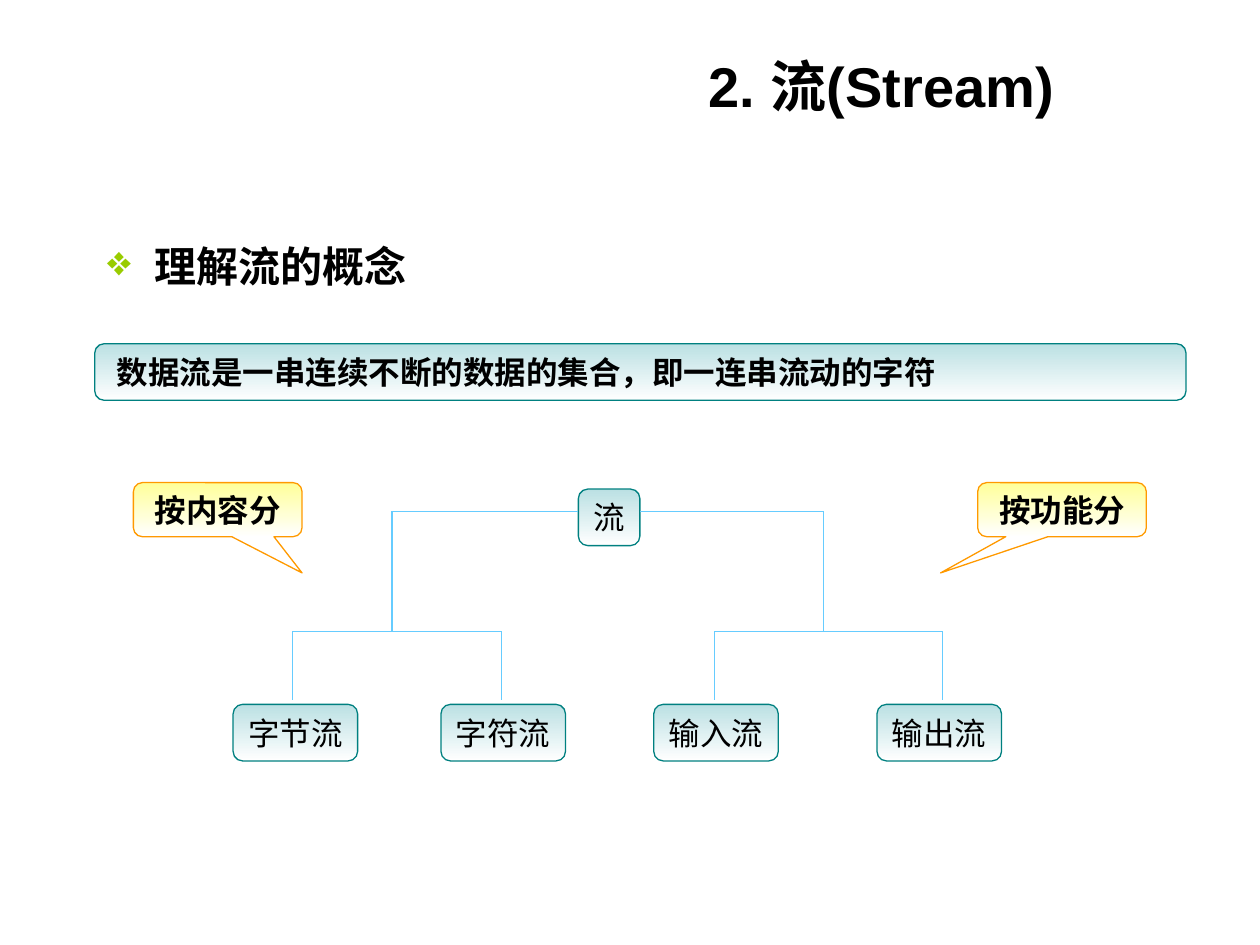
from dataclasses import dataclass

from lxml import etree
from pptx import Presentation
from pptx import util as u
from pptx.dml.color import RGBColor
from pptx.enum import shapes, text
from pptx.oxml import ns


@dataclass(frozen=True)
class Theme:
    font: str = "Arial"
    ink: str = "000000"
    paper: str = "FFFFFF"
    bullet: str = "99CC00"
    node: tuple = ("BBE0E3", "008080")
    callout: tuple = ("FFFF99", "FF9900")
    branch: str = "66CCFF"
    title_size: int = 32
    heading_size: int = 24
    body_size: int = 18
    line_width: float = 0.75


THEME = Theme()
ALIGN = text.PP_ALIGN
BOX_HEIGHT = 1.14
LEAF_WIDTH = 2.51
LEAF_TOP = 14.2
ROOT_LEFT, ROOT_WIDTH = 11.66, 1.24
TRUNK_Y, BAR_Y, LEG_END_Y = 10.31, 12.73, 14.12


def color(value):
    return RGBColor.from_string(value)


def write(frame, words, size, bold=False, align=ALIGN.LEFT):
    paragraph = frame.paragraphs[0]
    paragraph.alignment = align
    run = paragraph.add_run()
    run.text = words
    run.font.name = THEME.font
    run.font.size = u.Pt(size)
    run.font.bold = bold
    run.font.color.rgb = color(THEME.ink)
    return paragraph


def add_title(slide, words):
    title = slide.shapes.title
    title.left, title.top = u.Cm(6.5), u.Cm(0.91)
    title.width, title.height = u.Cm(15.01), u.Cm(1.6)
    title.text_frame.vertical_anchor = text.MSO_ANCHOR.MIDDLE
    write(title.text_frame, words, THEME.title_size, True, ALIGN.RIGHT)


def add_heading(slide, words):
    heading = slide.shapes.add_textbox(u.Cm(1.91), u.Cm(4.72), u.Cm(11.4), u.Cm(1.3))
    heading.text_frame.word_wrap = True
    paragraph = write(heading.text_frame, words, THEME.heading_size, True)
    paragraph.space_before = u.Pt(6)
    properties = paragraph._p.get_or_add_pPr()
    indent = u.Cm(0.95)
    properties.set("marL", str(indent))
    properties.set("indent", str(-indent))
    bullet_color = etree.SubElement(properties, ns.qn("a:buClr"))
    etree.SubElement(bullet_color, ns.qn("a:srgbClr"), val=THEME.bullet)
    etree.SubElement(properties, ns.qn("a:buChar"), char="❖")


def add_box(slide, kind, place, colors, words, bold=False, align=ALIGN.CENTER, wrap=True):
    box = slide.shapes.add_shape(kind, *map(u.Cm, place))
    box.shadow.inherit = False
    top_color, line_color = colors
    box.fill.gradient()
    box.fill.gradient_angle = 270
    for stop, shade, position in zip(box.fill.gradient_stops, (top_color, THEME.paper), (0, 1)):
        stop.color.rgb = color(shade)
        stop.position = position
    box.line.color.rgb = color(line_color)
    box.line.width = u.Pt(THEME.line_width)
    box.text_frame.word_wrap = wrap
    write(box.text_frame, words, THEME.body_size, bold, align)
    return box


def add_node(slide, left, top, width, words, **style):
    place = (left, top, width, BOX_HEIGHT)
    kind = shapes.MSO_SHAPE.FLOWCHART_ALTERNATE_PROCESS
    add_box(slide, kind, place, THEME.node, words, **style)


def add_callout(slide, left, words, pointer_x):
    kind = shapes.MSO_SHAPE.ROUNDED_RECTANGULAR_CALLOUT
    callout = add_box(slide, kind, (left, 9.73, 3.4, 1.09), THEME.callout, words, bold=True)
    callout.text_frame.vertical_anchor = text.MSO_ANCHOR.TOP
    callout.adjustments[0] = pointer_x
    callout.adjustments[1] = 1.17


def add_line(slide, *ends):
    line = slide.shapes.add_connector(shapes.MSO_CONNECTOR.STRAIGHT, *map(u.Cm, ends))
    line.line.color.rgb = color(THEME.branch)
    line.line.width = u.Pt(THEME.line_width)
    etree.SubElement(line._element.spPr, ns.qn("a:effectLst"))


def add_branch(slide, root_x, trunk_x, leaves):
    for left, _, words in leaves:
        add_node(slide, left, LEAF_TOP, LEAF_WIDTH, words, wrap=False)
    legs = [leg_x for _, leg_x, _ in leaves]
    add_line(slide, legs[0], BAR_Y, legs[-1], BAR_Y)
    for leg_x in legs:
        add_line(slide, leg_x, BAR_Y, leg_x, LEG_END_Y)
    add_line(slide, trunk_x, TRUNK_Y, trunk_x, BAR_Y)
    add_line(slide, *sorted((root_x, trunk_x))[:1], TRUNK_Y, max(root_x, trunk_x), TRUNK_Y)


def main():
    deck = Presentation()
    deck.slide_width, deck.slide_height = u.Cm(25.4), u.Cm(19.05)
    slide = deck.slides.add_slide(deck.slide_layouts.get_by_name("Title Only"))

    add_title(slide, "2. 流(Stream)")
    add_heading(slide, "理解流的概念")
    add_node(slide, 1.91, 6.93, 22, " 数据流是一串连续不断的数据的集合，即一连串流动的字符",
             bold=True, align=ALIGN.LEFT)

    add_node(slide, ROOT_LEFT, 9.86, ROOT_WIDTH, "流", wrap=False)
    add_branch(slide, ROOT_LEFT, 7.9, [(4.7, 5.89, "字节流"), (8.89, 10.11, "字符流")])
    add_branch(slide, ROOT_LEFT + ROOT_WIDTH, 16.6,
               [(13.18, 14.4, "输入流"), (17.68, 19, "输出流")])

    add_callout(slide, 2.69, "按内容分", 0.5)
    add_callout(slide, 19.71, "按功能分", -0.72)
    deck.save("out.pptx")


if __name__ == "__main__":
    main()
